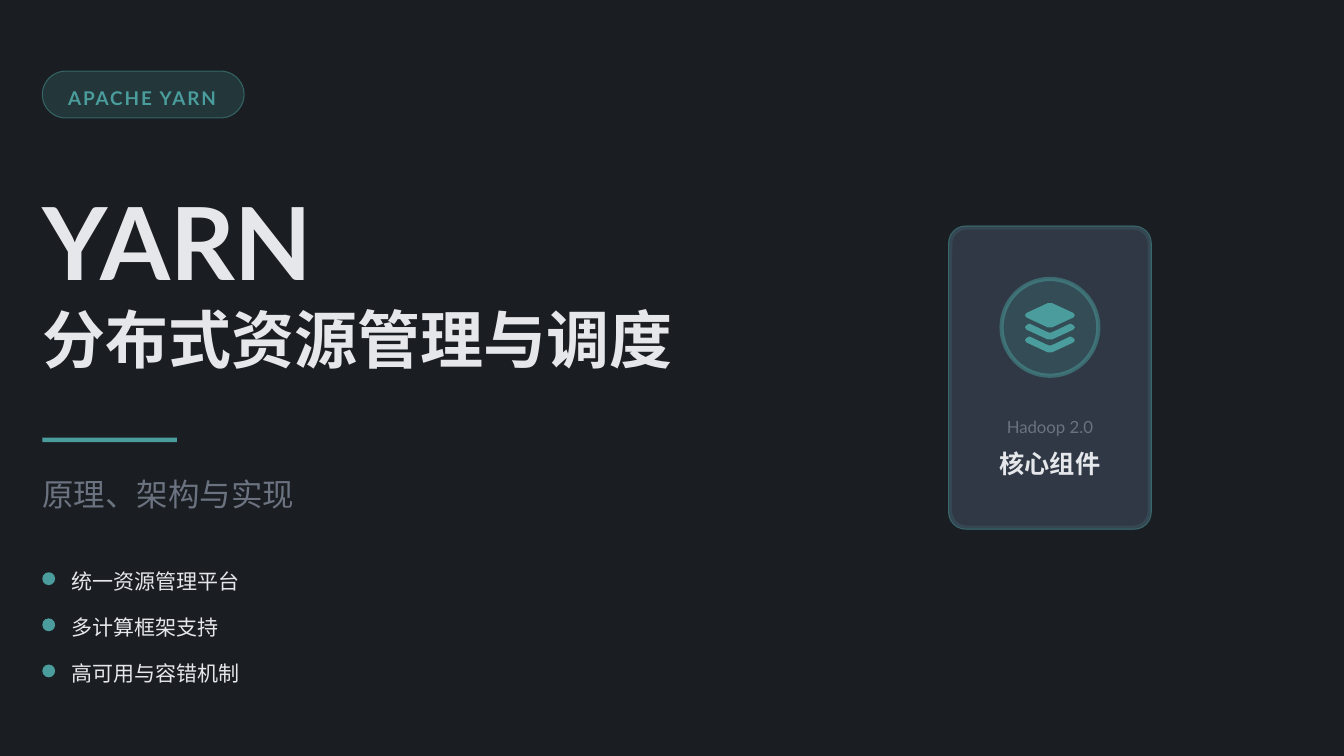
"""Build the cover slide of a talk on YARN resource management."""
from lxml import etree
from pptx import Presentation
from pptx.dml.color import RGBColor
from pptx.enum.shapes import MSO_SHAPE
from pptx.enum.text import MSO_ANCHOR, MSO_AUTO_SIZE, PP_ALIGN
from pptx.oxml.ns import qn
from pptx.util import Inches, Pt

ROUNDED, OVAL, RECTANGLE = MSO_SHAPE.ROUNDED_RECTANGLE, MSO_SHAPE.OVAL, MSO_SHAPE.RECTANGLE
LEFT, CENTER, MIDDLE = PP_ALIGN.LEFT, PP_ALIGN.CENTER, MSO_ANCHOR.MIDDLE
FIXED_SIZE = MSO_AUTO_SIZE.NONE
TITLE_ONLY = 5
FONT = "Lato"
COLORS = {"ground": "1A1D21", "teal": "4A9D9C", "light": "E5E7EB",
          "muted": "6B7280", "card": "3D4A5C"}

BADGE = "APACHE YARN"
TITLE = [("YARN", 96), ("分布式资源管理与调度", 60)]
SUBTITLE = "原理、架构与实现"
POINTS = ["统一资源管理平台", "多计算框架支持", "高可用与容错机制"]
CARD_LABELS = [
    ("Hadoop 2.0", 5.44, 0.33, {"size": 16, "color": "muted", "spacing": 1.3}),
    ("核心组件", 5.89, 0.44, {"size": 24, "bold": True, "spacing": 1.1}),
]

MARGIN = 0.56
POINT_TOP, POINT_STEP = 7.46, 0.61
CARD_CENTER = 13.89
# Right halves of the icon layers, as offsets from the card's centre line
TOP_LAYER = [(0.03, 4.01), (0.31, 4.14), (0.33, 4.17), (0.31, 4.2), (0.03, 4.33)]
LOWER_LAYER = [(0.01, 4.4), (0.06, 4.38), (0.27, 4.28), (0.31, 4.3), (0.33, 4.33),
               (0.31, 4.36), (0.03, 4.49)]
LAYER_STEP = 0.17


def rgb(name):
    return RGBColor.from_string(COLORS[name])


def set_alpha(holder, alpha):
    color = holder.find(qn("a:solidFill")).find(qn("a:srgbClr"))
    etree.SubElement(color, qn("a:alpha")).set("val", str(alpha * 1000))


def style_shape(shape, fill=None, alpha=100, line_width=0, line_alpha=100):
    shape.shadow.inherit = False
    properties = shape._element.spPr
    if fill:
        shape.fill.solid()
        shape.fill.fore_color.rgb = rgb(fill)
        if alpha < 100:
            set_alpha(properties, alpha)
    else:
        shape.fill.background()
    if line_width:
        shape.line.color.rgb = rgb("teal")
        shape.line.width = Pt(line_width)
        set_alpha(properties.find(qn("a:ln")), line_alpha)
    else:
        shape.line.fill.background()


def add_shape(slide, kind, left, top, width, height, radius=None, **style):
    shape = slide.shapes.add_shape(
        kind, Inches(left), Inches(top), Inches(width), Inches(height))
    if radius is not None:
        shape.adjustments[0] = radius / min(width, height)
    style_shape(shape, **style)


def add_layer(slide, half, drop=0):
    mirrored = [(-x, y) for x, y in reversed(half)]
    outline = [(Inches(CARD_CENTER + x), Inches(y + drop)) for x, y in half + mirrored]
    builder = slide.shapes.build_freeform(*outline[0])
    builder.add_line_segments(outline[1:], close=True)
    style_shape(builder.convert_to_shape(), fill="teal")


def prepare_frame(box):
    frame = box.text_frame
    frame.word_wrap = True
    frame.auto_size = FIXED_SIZE
    frame.vertical_anchor = MIDDLE
    frame.margin_left = frame.margin_right = frame.margin_top = frame.margin_bottom = 0
    return frame


def write(para, text, size=20, color="light", bold=False, align=LEFT, spacing=1.0, tracking=0):
    para.alignment = align
    para.line_spacing = spacing
    span = para.add_run()
    span.text = text
    span.font.name = FONT
    span.font.size = Pt(size)
    span.font.bold = bold
    span.font.color.rgb = rgb(color)
    if tracking:
        span.font._element.set("spc", str(int(tracking * 100)))


def add_text(slide, text, left, top, width, height, **text_format):
    box = slide.shapes.add_textbox(Inches(left), Inches(top), Inches(width), Inches(height))
    write(prepare_frame(box).paragraphs[0], text, **text_format)


def add_title(slide):
    title = slide.shapes.title
    title.left, title.top = Inches(MARGIN), Inches(2.01)
    title.width, title.height = Inches(10), Inches(3.33)
    frame = prepare_frame(title)
    for index, (text, size) in enumerate(TITLE):
        para = frame.add_paragraph() if index else frame.paragraphs[0]
        write(para, text, size=size, bold=True)


def add_points(slide):
    for index, text in enumerate(POINTS):
        top = POINT_TOP + index * POINT_STEP
        add_shape(slide, OVAL, MARGIN, top + 0.11, 0.17, 0.17, fill="teal")
        add_text(slide, text, 0.94, top, 2.5, 0.39, spacing=1.2)


def add_card(slide):
    add_shape(slide, ROUNDED, CARD_CENTER - 1.32, 3.01, 2.64, 3.97, radius=0.22,
              line_width=4, line_alpha=30)
    add_shape(slide, ROUNDED, CARD_CENTER - 1.34, 2.99, 2.68, 4.01, radius=0.22,
              fill="card", alpha=60, line_width=1, line_alpha=40)
    add_shape(slide, OVAL, CARD_CENTER - 0.64, 3.69, 1.28, 1.28,
              fill="teal", alpha=20, line_width=4, line_alpha=50)
    add_layer(slide, TOP_LAYER)
    for drop in (0, LAYER_STEP):
        add_layer(slide, LOWER_LAYER, drop)
    for text, top, height, text_format in CARD_LABELS:
        add_text(slide, text, CARD_CENTER - 0.75, top, 1.5, height, align=CENTER, **text_format)


def main():
    deck = Presentation()
    deck.slide_width, deck.slide_height = Inches(17.78), Inches(10)
    slide = deck.slides.add_slide(deck.slide_layouts[TITLE_ONLY])
    slide.background.fill.solid()
    slide.background.fill.fore_color.rgb = rgb("ground")

    add_shape(slide, ROUNDED, MARGIN, 0.94, 2.67, 0.62, radius=0.31,
              fill="teal", alpha=20, line_width=1, line_alpha=50)
    add_text(slide, BADGE, 0.9, 1.08, 2.11, 0.33, size=18, color="teal", bold=True,
             spacing=1.3, tracking=1.8)
    add_title(slide)
    add_shape(slide, RECTANGLE, MARGIN, 5.79, 1.78, 0.06, fill="teal")
    add_text(slide, SUBTITLE, MARGIN, 6.29, 9.54, 0.5, size=30, color="muted")
    add_points(slide)
    add_card(slide)
    deck.save("out.pptx")


if __name__ == "__main__":
    main()
